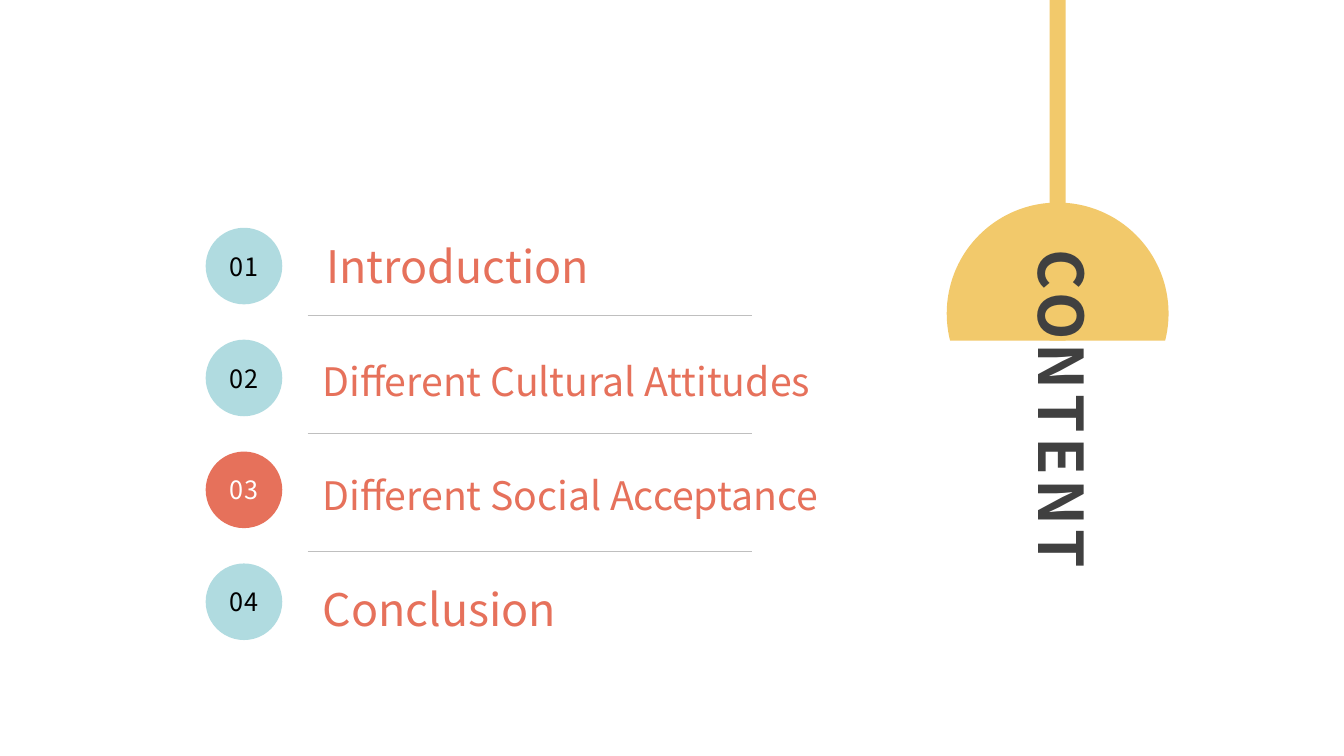
from math import asin, cos, degrees, sin

from lxml.etree import SubElement
from pptx import Presentation
from pptx.dml.color import RGBColor
from pptx.enum.shapes import MSO_CONNECTOR, MSO_SHAPE
from pptx.enum.text import MSO_ANCHOR, MSO_AUTO_SIZE, PP_ALIGN
from pptx.oxml.ns import qn
from pptx.util import Inches, Pt

FONT = "Noto Sans CJK SC"
YELLOW = RGBColor(0xF2, 0xC9, 0x6B)
CORAL = RGBColor(0xE6, 0x71, 0x5B)
AQUA = RGBColor(0xB0, 0xDB, 0xE0)
CHARCOAL = RGBColor(0x40, 0x40, 0x40)
GREY = RGBColor(0xBF, 0xBF, 0xBF)
BLACK = RGBColor(0, 0, 0)
WHITE = RGBColor(0xFF, 0xFF, 0xFF)

# Number, label, size, label box (left, top, width, height), badge fill, number colour
ENTRIES = [
    ("1", "Introduction", 32, (2.75, 2.32, 4.97, 0.42), AQUA, BLACK),
    ("2", "Different Cultural Attitudes", 28, (2.71, 3.5, 5.94, 0.56), AQUA, BLACK),
    ("3", "Different Social Acceptance", 28, (2.71, 4.63, 6.26, 0.59), CORAL, WHITE),
    ("4", "Conclusion", 32, (2.71, 5.72, 4.97, 0.42), AQUA, BLACK),
]


def write_text(shape, pieces, color, bold=False, align=PP_ALIGN.LEFT,
               anchor=MSO_ANCHOR.TOP, indent=0, spacing=0):
    """Write one paragraph from (text, size) pieces."""
    frame = shape.text_frame
    frame.word_wrap = True
    frame.auto_size = MSO_AUTO_SIZE.NONE
    frame.vertical_anchor = anchor
    para = frame.paragraphs[0]
    para.alignment = align
    if indent:
        para._p.get_or_add_pPr().set("marL", str(Inches(indent)))
    for text, size in pieces:
        span = para.add_run()
        span.text = text
        span.font.name = FONT
        span.font.size = Pt(size)
        span.font.bold = bold
        span.font.color.rgb = color
        if spacing:
            span.font._element.set("spc", str(spacing * 100))


def paint(shape, color):
    shape.shadow.inherit = False
    shape.fill.solid()
    shape.fill.fore_color.rgb = color
    shape.line.fill.background()


def add_lamp(page, center_x, center_y, radius, bottom):
    # Cord
    cord_width = 0.16
    cord = page.shapes.add_shape(
        MSO_SHAPE.RECTANGLE, Inches(center_x - cord_width / 2), 0,
        Inches(cord_width), Inches(bottom))
    paint(cord, YELLOW)

    # Shade: the extreme points of a circle cut flat at the bottom
    dip = asin((bottom - center_y) / radius)
    corner = radius * cos(dip)
    offsets = [(-corner, radius * sin(dip)), (-radius, 0), (0, -radius),
               (radius, 0), (corner, radius * sin(dip))]
    points = [(Inches(center_x + x), Inches(center_y + y)) for x, y in offsets]
    builder = page.shapes.build_freeform(*points[0])
    builder.add_line_segments(points[1:], close=True)
    shade = builder.convert_to_shape()
    paint(shade, YELLOW)

    # One arc runs through those points in place of the straight segments
    outline = next(shade.element.iter(qn("a:path")))
    for segment in outline.findall(qn("a:lnTo")):
        outline.remove(segment)
    arc = SubElement(outline, qn("a:arcTo"))
    for key, value in [("wR", Inches(radius)), ("hR", Inches(radius)),
                       ("stAng", round((180 - degrees(dip)) * 60000)),
                       ("swAng", round((180 + 2 * degrees(dip)) * 60000))]:
        arc.set(key, str(value))
    outline.append(outline.find(qn("a:close")))


def add_title(page, left, top, width, height):
    title = page.shapes.title
    title.left, title.top = Inches(left), Inches(top)
    title.width, title.height = Inches(width), Inches(height)
    write_text(title, [("CONTENT", 44)], CHARCOAL, bold=True, spacing=3)
    title.text_frame._txBody.bodyPr.set("vert", "eaVert")
    # Bring the title in front of the lamp
    title.element.getparent().append(title.element)


def add_contents(page, left, top, badge_size=0.76, pitch=1.11):
    # Numbered badges with their labels
    for row, (digit, label, size, label_box, fill, ink) in enumerate(ENTRIES):
        badge = page.shapes.add_shape(
            MSO_SHAPE.OVAL, Inches(left), Inches(top + row * pitch),
            Inches(badge_size), Inches(badge_size))
        paint(badge, fill)
        # A hairline space parts the two digits
        write_text(badge, [("0", 18), (" ", 1), (digit, 18)], ink,
                   align=PP_ALIGN.CENTER, anchor=MSO_ANCHOR.MIDDLE)
        box = page.shapes.add_textbox(*map(Inches, label_box))
        write_text(box, [(label, size)], CORAL, indent=0.39)

    # Rules between the entries
    for row in range(len(ENTRIES) - 1):
        y = Inches(top + 0.87 + row * 1.17)
        rule = page.shapes.add_connector(
            MSO_CONNECTOR.STRAIGHT, Inches(left + 1.01), y, Inches(left + 5.42), y)
        rule.line.color.rgb = GREY
        rule.line.width = Pt(0.25)
        SubElement(rule._element.spPr, qn("a:effectLst"))


def main():
    deck = Presentation()
    deck.slide_width, deck.slide_height = Inches(13.33), Inches(7.5)
    page = deck.slides.add_slide(deck.slide_layouts[5])
    add_lamp(page, center_x=10.49, center_y=3.11, radius=1.1, bottom=3.38)
    add_title(page, 9.99, 2.43, 1.02, 3.62)
    add_contents(page, 2.04, 2.26)
    deck.save("out.pptx")


if __name__ == "__main__":
    main()
